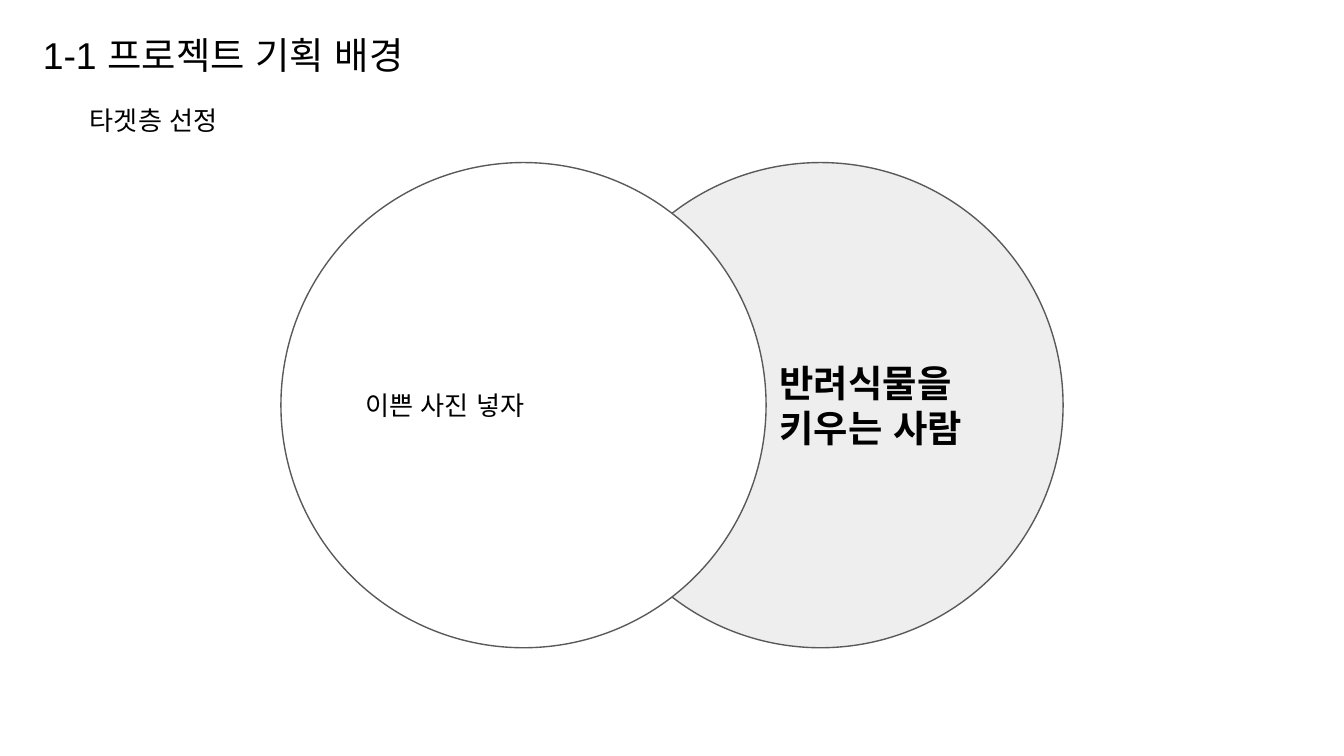
from lxml.etree import SubElement
from pptx import Presentation
from pptx.dml.color import RGBColor
from pptx.enum.shapes import MSO_SHAPE
from pptx.enum.text import MSO_ANCHOR, PP_ALIGN
from pptx.oxml.ns import qn
from pptx.util import Inches, Pt

BLACK = RGBColor(0, 0, 0)
WHITE = RGBColor(255, 255, 255)
PALE = RGBColor(0xEE, 0xEE, 0xEE)
GRAY = RGBColor(0x59, 0x59, 0x59)
FONT = "Arial"
SIZE = 3.61
TOP = 1.21


def style(run, size, bold):
    run.font.name = FONT
    run.font.size = Pt(size)
    run.font.bold = bold
    run.font.color.rgb = BLACK
    props = run.font._element
    for tag in ("a:ea", "a:cs"):
        SubElement(props, qn(tag)).set("typeface", FONT)


def write(frame, text, size, bold=False):
    frame.word_wrap = True
    frame.margin_left = frame.margin_right = Inches(0.1)
    frame.margin_top = frame.margin_bottom = Inches(0.1)
    frame.text = text
    for para in frame.paragraphs:
        para.alignment = PP_ALIGN.LEFT
        for run in para.runs:
            style(run, size, bold)


def add_label(slide, left, top, width, height, text, size, bold=False):
    box = slide.shapes.add_textbox(
        Inches(left), Inches(top), Inches(width), Inches(height))
    write(box.text_frame, text, size, bold)


def add_circle(slide, left, color):
    circle = slide.shapes.add_shape(
        MSO_SHAPE.OVAL, Inches(left), Inches(TOP), Inches(SIZE), Inches(SIZE))
    circle.shadow.inherit = False
    circle.fill.solid()
    circle.fill.fore_color.rgb = color
    circle.line.color.rgb = GRAY
    circle.line.width = Pt(0.75)
    return circle


def main():
    deck = Presentation()
    deck.slide_width = Inches(10)
    deck.slide_height = deck.slide_width * 9 // 16
    slide = deck.slides.add_slide(deck.slide_layouts[6])

    add_circle(slide, 4.3, PALE)
    add_label(slide, 0.22, 0.14, 3.17, 0.54, "1-1 프로젝트 기획 배경", 20)
    add_label(slide, 0.57, 0.68, 1.72, 0.44, "타겟층 선정", 14)
    add_label(slide, 5.7, 2.58, 2.2, 0.88, "반려식물을\n키우는 사람", 20, True)
    photo = add_circle(slide, 2.09, WHITE)
    write(photo.text_frame, "이쁜 사진 넣자", 14)
    photo.text_frame.vertical_anchor = MSO_ANCHOR.MIDDLE

    deck.save("out.pptx")


if __name__ == "__main__":
    main()
